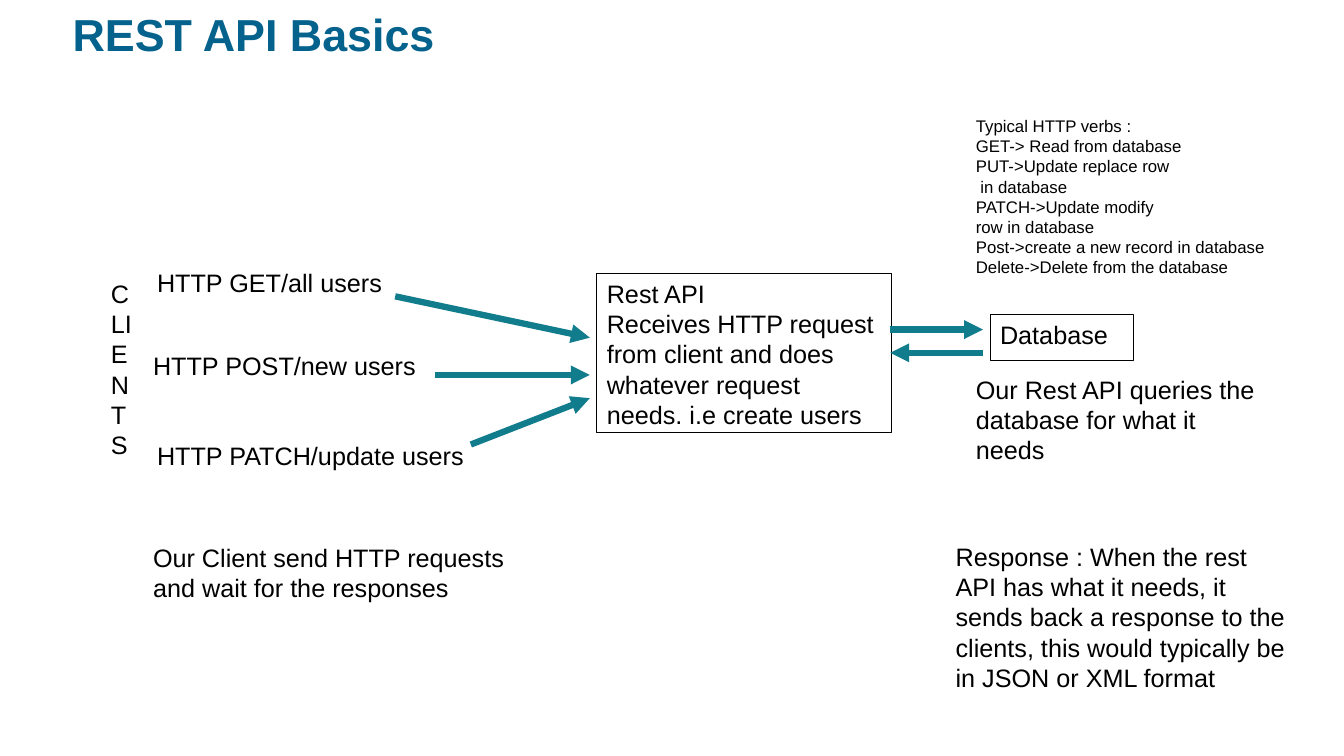
import pptx
import pptx.util
import pptx.dml.color
import pptx.enum.shapes
import pptx.enum.text
import pptx.oxml
import pptx.oxml.ns
from dataclasses import dataclass

Inches = pptx.util.Inches


@dataclass(frozen=True)
class Theme:
    font: str = "Arial"
    title_color: str = "04628C"
    ink: str = "000000"
    arrow: str = "117C8C"
    title_size: int = 32
    body_size: int = 18
    note_size: int = 12
    box_line: float = 0.75
    arrow_line: float = 4.5


THEME = Theme()


def rgb(value):
    return pptx.dml.color.RGBColor.from_string(value)


def write(tf, text, size=THEME.body_size, color=THEME.ink, bold=False,
          wrap=True, inset=None, spacing=None):
    tf.word_wrap = wrap
    tf.vertical_anchor = pptx.enum.text.MSO_ANCHOR.TOP
    if inset is not None:
        tf.margin_left = tf.margin_right = Inches(inset)
        tf.margin_top = tf.margin_bottom = Inches(inset)
    for i, line in enumerate(text.split("\n")):
        p = tf.paragraphs[0] if i == 0 else tf.add_paragraph()
        p.alignment = pptx.enum.text.PP_ALIGN.LEFT
        if spacing:
            p.line_spacing = spacing
        r = p.add_run()
        r.text = line
        r.font.name = THEME.font
        r.font.size = pptx.util.Pt(size)
        r.font.bold = bold
        r.font.color.rgb = rgb(color)


def add_text(s, text, x, y, w, h, **style):
    sp = s.shapes.add_textbox(Inches(x), Inches(y), Inches(w), Inches(h))
    write(sp.text_frame, text, **style)


def add_box(s, text, x, y, w, h):
    sp = s.shapes.add_shape(pptx.enum.shapes.MSO_SHAPE.RECTANGLE,
                            Inches(x), Inches(y), Inches(w), Inches(h))
    sp.shadow.inherit = False
    sp.fill.background()
    sp.line.color.rgb = rgb(THEME.ink)
    sp.line.width = pptx.util.Pt(THEME.box_line)
    write(sp.text_frame, text)


def add_arrow(s, x1, y1, x2, y2):
    c = s.shapes.add_connector(pptx.enum.shapes.MSO_CONNECTOR.STRAIGHT,
                               Inches(x1), Inches(y1), Inches(x2), Inches(y2))
    c.line.color.rgb = rgb(THEME.arrow)
    c.line.width = pptx.util.Pt(THEME.arrow_line)
    tail = pptx.oxml.parse_xml(
        f'<a:tailEnd {pptx.oxml.ns.nsdecls("a")} type="triangle"/>')
    c.line._get_or_add_ln().append(tail)
    effects = pptx.oxml.parse_xml(f'<a:effectLst {pptx.oxml.ns.nsdecls("a")}/>')
    c._element.spPr.append(effects)


def add_title(s, x, y, w, h):
    add_text(s, "REST API Basics", x, y, w, h, size=THEME.title_size,
             color=THEME.title_color, bold=True, inset=0, spacing=0.9)


def add_clients(s, x, y, w, h):
    add_text(s, "CLIENTS", x, y + 0.11, 0.41, 3.42)
    requests = [
        ("HTTP GET/all users", 0.46, 0, 2.46, (2.92, 0.34), 0.75),
        ("HTTP POST/new users", 0.42, 0.83, 2.9, (3.31, 1.12), 1.12),
        ("HTTP PATCH/update users", 0.46, 1.72, 3.37, (3.67, 1.81), 1.35),
    ]
    for text, dx, dy, width, (start_x, start_y), end_y in requests:
        add_text(s, text, x + dx, y + dy, width, 0.57)
        add_arrow(s, x + start_x, y + start_y, x + w, y + end_y)
    add_text(s, "Our Client send HTTP requests and wait for the responses",
             x + 0.42, y + h - 1.5, 4, 1.5)


def add_api(s, x, y, w, h):
    add_box(s, "Rest API\nReceives HTTP request from client and does whatever "
            "request needs. i.e create users", x, y, w, h)


def add_database(s, x, y, w, h):
    near, far = x, x + 0.92
    add_arrow(s, near, y + 0.15, far, y + 0.15)
    add_arrow(s, far, y + 0.38, near, y + 0.38)
    add_box(s, "Database", x + 0.99, y, 1.42, 0.46)
    add_text(s, "Our Rest API queries the\ndatabase for what it needs",
             x + 0.75, y + h - 0.75, w - 0.75, 0.75, wrap=False)


def add_verbs(s, x, y, w, h):
    lines = ["Typical HTTP verbs :", "GET-> Read from database",
             "PUT->Update replace row", " in database",
             "PATCH->Update modify", "row in database",
             "Post->create a new record in database",
             "Delete->Delete from the database"]
    add_text(s, "\n".join(lines), x, y, w, h, size=THEME.note_size, wrap=False)


def add_response(s, x, y, w, h):
    add_text(s, "Response : When the rest API has what it needs, it sends back "
             "a response to the clients, this would typically be in JSON or "
             "XML format", x, y, w, h)


def main():
    prs = pptx.Presentation()
    prs.slide_width, prs.slide_height = Inches(13.33), Inches(7.5)
    s = prs.slides.add_slide(prs.slide_layouts[6])
    add_title(s, 0.72, 0.13, 12.13, 0.81)
    add_clients(s, 1, 2.6, 4.85, 4.23)
    add_api(s, 5.92, 2.71, 2.92, 1.58)
    add_database(s, 8.83, 3.12, 3.83, 1.29)
    add_verbs(s, 9.58, 1.1, 3.09, 1.77)
    add_response(s, 9.38, 5.32, 3.47, 1.5)
    prs.save("out.pptx")


if __name__ == "__main__":
    main()
